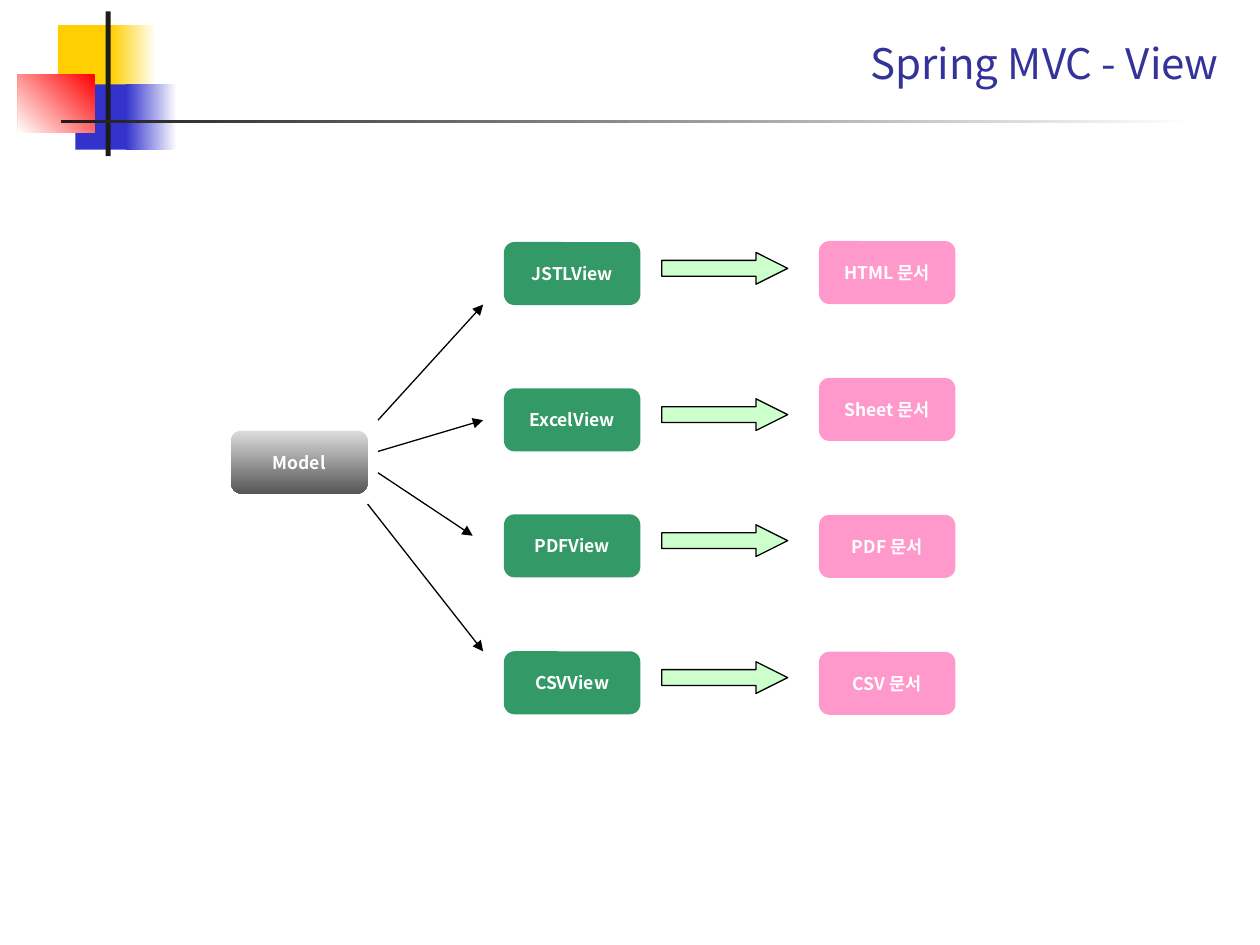
from typing import NamedTuple

from lxml.etree import SubElement
from pptx import Presentation
from pptx.dml.color import RGBColor
from pptx.enum.shapes import MSO_CONNECTOR as CONN, MSO_SHAPE as SHAPE
from pptx.enum.text import MSO_ANCHOR as ANCHOR, PP_ALIGN as ALIGN
from pptx.oxml.ns import qn
from pptx.util import Cm, Pt

FONT = "Noto Sans CJK KR"
COLORS = {
    "white": "FFFFFF", "black": "000000", "yellow": "FFCF01", "blue": "3333CC",
    "red": "FF0000", "ink": "1C1C1C", "title": "333399", "silver": "DDDDDD",
    "gray": "565656", "green": "339966", "mint": "CCFFCC", "pink": "FF99CC",
}
BOX_W, BOX_H = 2.75, 1.27
VIEW_X, ARROW_X, DOC_X = 10.16, 13.34, 16.51
DOC_TOP, DOC_STEP = 4.86, 2.76
ARROW_DROP = 0.21


class Block(NamedTuple):
    x: float
    y: float
    w: float
    h: float
    colors: tuple[str, ...]
    angle: int = 0


class Flow(NamedTuple):
    view: str
    doc: str
    y: float
    start: tuple[float, float]
    end: tuple[float, float]


DECOR = [
    Block(1.17, 0.51, 1.22, 1.32, ("yellow",)),
    Block(2.24, 0.51, 0.91, 1.32, ("white", "yellow"), 180),
    Block(1.52, 1.7, 1.17, 1.32, ("blue",)),
    Block(2.54, 1.7, 1.02, 1.32, ("white", "blue"), 180),
    Block(0.36, 1.5, 1.55, 1.17, ("red", "white"), 135),
    Block(2.13, 0.23, 0.1, 2.92, ("ink",)),
    Block(1.24, 2.41, 22.86, 0.08, ("white", "ink"), 180),
]
FLOWS = [
    Flow("JSTLView", "HTML 문서", 4.88, (7.62, 8.47), (9.74, 6.14)),
    Flow("ExcelView", "Sheet 문서", 7.83, (7.62, 9.1), (9.74, 8.47)),
    Flow("PDFView", "PDF 문서", 10.37, (7.62, 9.53), (9.53, 10.8)),
    Flow("CSVView", "CSV 문서", 13.13, (7.41, 10.16), (9.74, 13.13)),
]


def rgb(name: str) -> RGBColor:
    return RGBColor.from_string(COLORS[name])


def add_block(s, b: Block, kind=SHAPE.RECTANGLE, line: str | None = None):
    sp = s.shapes.add_shape(kind, Cm(b.x), Cm(b.y), Cm(b.w), Cm(b.h))
    sp.shadow.inherit = False
    if len(b.colors) == 1:
        sp.fill.solid()
        sp.fill.fore_color.rgb = rgb(b.colors[0])
    else:
        sp.fill.gradient()
        sp.fill.gradient_angle = 360 - b.angle
        for stop, color, pos in zip(sp.fill.gradient_stops, b.colors, (0, 1)):
            stop.color.rgb = rgb(color)
            stop.position = pos
    if line:
        sp.line.color.rgb = rgb(line)
        sp.line.width = Pt(0.75)
    else:
        sp.line.fill.background()
    return sp


def write(sp, text: str, *, size: float = 10, color: str = "white", bold: bool = True,
          align=ALIGN.CENTER, anchor=ANCHOR.MIDDLE, wrap: bool = False) -> None:
    tf = sp.text_frame
    tf.word_wrap = wrap
    tf.vertical_anchor = anchor
    p = tf.paragraphs[0]
    p.alignment = align
    r = p.add_run()
    r.text = text
    r.font.name = FONT
    r.font.size = Pt(size)
    r.font.bold = bold
    r.font.color.rgb = rgb(color)
    SubElement(r.font._element, qn("a:ea"), typeface=FONT)


def add_box(s, text: str, x: float, y: float, *colors: str) -> None:
    block = Block(x, y, BOX_W, BOX_H, colors, 90)
    write(add_block(s, block, SHAPE.ROUNDED_RECTANGLE), text)


def add_link(s, start: tuple[float, float], end: tuple[float, float]) -> None:
    c = s.shapes.add_connector(CONN.STRAIGHT, *map(Cm, start + end))
    c.line.color.rgb = rgb("black")
    c.line.width = Pt(0.75)
    SubElement(c.line._get_or_add_ln(), qn("a:tailEnd"), type="triangle")
    SubElement(c._element.spPr, qn("a:effectLst"))


def add_arrow(s, y: float) -> None:
    sp = add_block(s, Block(ARROW_X, y, 2.54, 0.64, ("mint",)), SHAPE.RIGHT_ARROW, "black")
    sp.adjustments[0] = 0.5
    sp.adjustments[1] = 1


def main() -> None:
    prs = Presentation()
    prs.slide_width, prs.slide_height = Cm(25.4), Cm(19.05)
    s = prs.slides.add_slide(prs.slide_layouts[6])
    for block in DECOR:
        add_block(s, block)
    title = s.shapes.add_textbox(Cm(3.18), Cm(0.43), Cm(21.64), Cm(1.47))
    write(title, "Spring MVC - View", size=24, color="title", bold=False,
          align=ALIGN.RIGHT, anchor=ANCHOR.BOTTOM, wrap=True)
    add_box(s, "Model", 4.66, 8.68, "silver", "gray")
    for i, flow in enumerate(FLOWS):
        add_box(s, flow.view, VIEW_X, flow.y, "green")
        add_link(s, flow.start, flow.end)
        add_arrow(s, flow.y + ARROW_DROP)
        add_box(s, flow.doc, DOC_X, DOC_TOP + i * DOC_STEP, "pink")
    prs.save("out.pptx")


if __name__ == "__main__":
    main()
